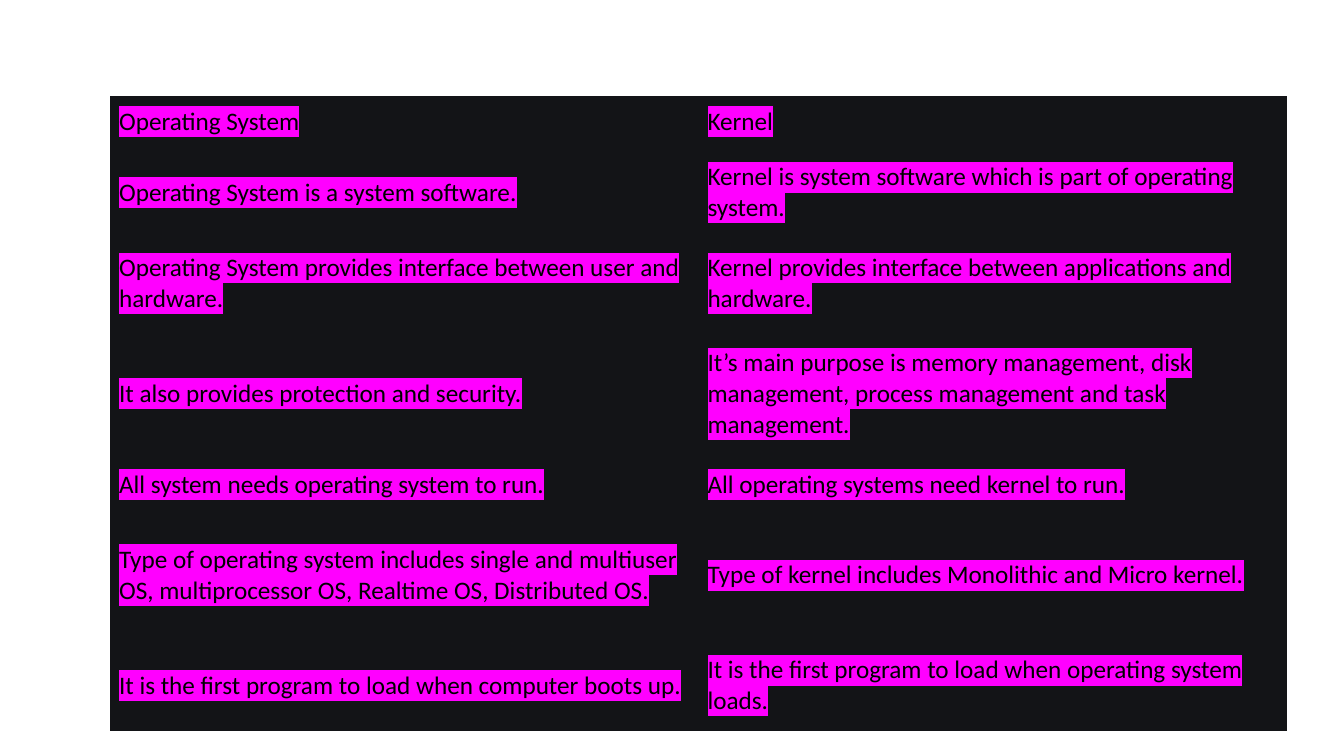
import dataclasses

import lxml.etree
import pptx
import pptx.dml.color
import pptx.enum.text
import pptx.oxml.ns
import pptx.table
import pptx.util

Pt = pptx.util.Pt
BLACK = pptx.dml.color.RGBColor(0x00, 0x00, 0x00)
DARK = pptx.dml.color.RGBColor(0x13, 0x14, 0x17)
PINK = pptx.dml.color.RGBColor(0xFF, 0x00, 0xFF)

LEFT, TOP, WIDTH = Pt(78.6), Pt(68.5), Pt(840.6)
CELL = {
    "margin_left": Pt(6.5), "margin_right": Pt(6.5),
    "margin_top": Pt(3.2), "margin_bottom": Pt(3.2),
    "vertical_anchor": pptx.enum.text.MSO_ANCHOR.MIDDLE,
}
FONT = {"name": "Calibri", "size": Pt(18), "bold": False}
PLAIN = {"first_row": False, "horz_banding": False}


@dataclasses.dataclass
class Row:
    """One point of the comparison and its row height."""
    system: str
    kernel: str
    height: pptx.util.Length


LOW, MID, HIGH = Pt(36.7), Pt(64.8), Pt(92.9)
ROWS = [
    Row("Operating System", "Kernel", LOW),
    Row("Operating System is a system software.",
        "Kernel is system software which is part of operating system.", MID),
    Row("Operating System provides interface between user and hardware.",
        "Kernel provides interface between applications and hardware.", MID),
    Row("It also provides protection and security.",
        "It’s main purpose is memory management, disk management, "
        "process management and task management.", HIGH),
    Row("All system needs operating system to run.",
        "All operating systems need kernel to run.", LOW),
    Row("Type of operating system includes single and multiuser OS, "
        "multiprocessor OS, Realtime OS, Distributed OS.",
        "Type of kernel includes Monolithic and Micro kernel.", HIGH),
    Row("It is the first program to load when computer boots up.",
        "It is the first program to load when operating system loads.", MID),
]


def style(item: object, format: dict) -> None:
    """Set each format value on the item."""
    for name, value in format.items():
        setattr(item, name, value)


def mark(font: pptx.text.text.Font, color: pptx.dml.color.RGBColor) -> None:
    """Highlight a run; the tag must follow its solid fill."""
    qn = pptx.oxml.ns.qn
    light = lxml.etree.Element(qn("a:highlight"))
    lxml.etree.SubElement(light, qn("a:srgbClr"), val=str(color))
    font._rPr.find(qn("a:solidFill")).addnext(light)


def clear(cell: pptx.table._Cell) -> None:
    """Take away the four borders of a cell."""
    qn = pptx.oxml.ns.qn
    props = cell._tc.get_or_add_tcPr()
    for place, side in enumerate(("lnL", "lnR", "lnT", "lnB")):
        line = lxml.etree.Element(qn(f"a:{side}"), w="0")
        lxml.etree.SubElement(line, qn("a:noFill"))
        props.insert(place, line)


def write(cell: pptx.table._Cell, text: str) -> None:
    """Fill a cell and put highlighted text in it."""
    style(cell, CELL)
    cell.fill.solid()
    cell.fill.fore_color.rgb = DARK
    clear(cell)
    run = cell.text_frame.paragraphs[0].add_run()
    run.text = text
    style(run.font, FONT)
    run.font.color.rgb = BLACK
    mark(run.font, PINK)


def build(slide: pptx.slide.Slide) -> None:
    """Draw the table that compares system and kernel."""
    height = sum(row.height for row in ROWS)
    frame = slide.shapes.add_table(len(ROWS), 2, LEFT, TOP, WIDTH, height)
    table = frame.table
    style(table, PLAIN)
    for index, row in enumerate(ROWS):
        table.rows[index].height = row.height
        for column, text in enumerate((row.system, row.kernel)):
            write(table.cell(index, column), text)


deck = pptx.Presentation()
style(deck, {"slide_width": Pt(960), "slide_height": Pt(540)})
build(deck.slides.add_slide(deck.slide_layouts[6]))
deck.save("out.pptx")
